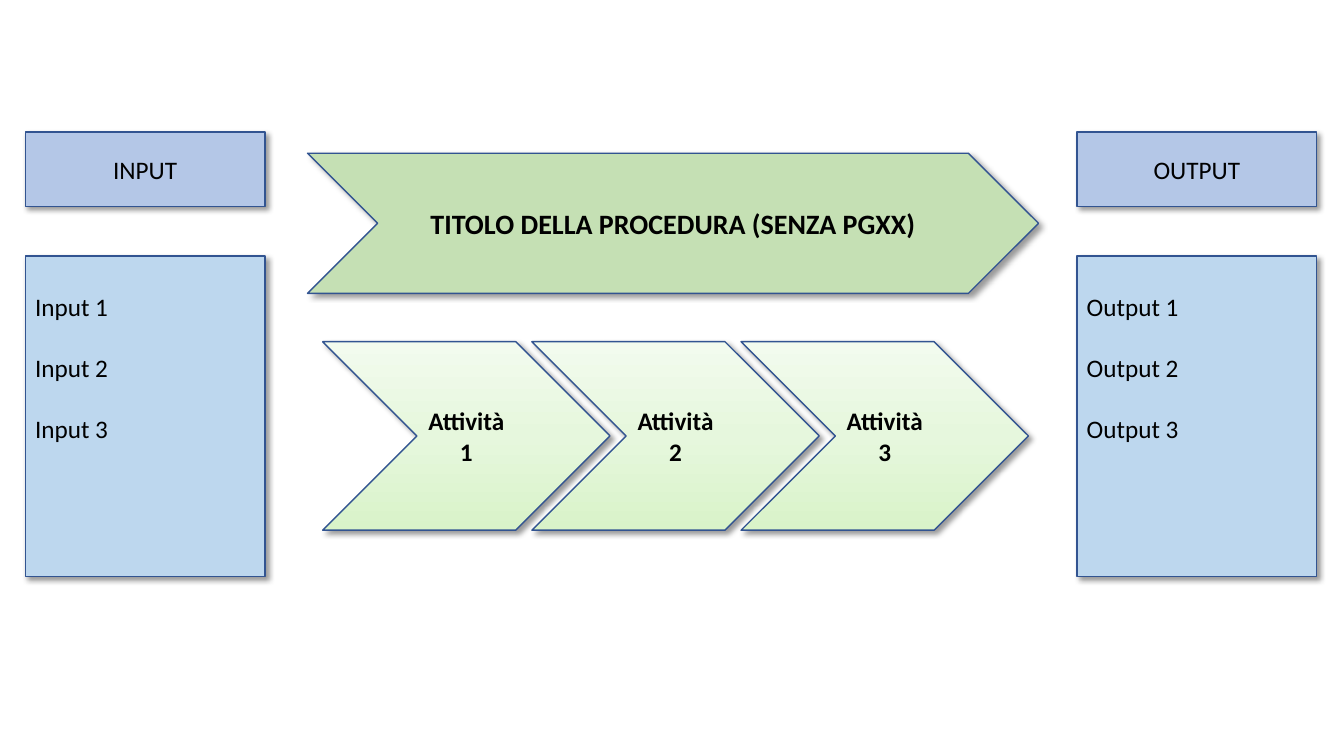
from copy import deepcopy
from dataclasses import dataclass

from lxml import etree
from pptx import Presentation
from pptx import util as u
from pptx.dml.color import RGBColor
from pptx.enum import shapes, text
from pptx.oxml.ns import qn

TITLE = "TITOLO DELLA PROCEDURA (SENZA PGXX)"
ACTIVITIES = ["Attività 1", "Attività 2", "Attività 3"]
SIDES = [
    ("INPUT", ["Input 1", "Input 2", "Input 3"]),
    ("OUTPUT", ["Output 1", "Output 2", "Output 3"]),
]


@dataclass(frozen=True)
class Theme:
    font: str = "Calibri"
    ink: str = "000000"
    line: str = "325491"
    header: str = "B4C7E7"
    panel: str = "BDD7EE"
    banner: str = "C5E0B4"
    activity: tuple = ("D9F3C9", "E6F7DD", "F2FBEE")
    title_size: int = 20
    body_size: int = 18
    line_width: int = 1
    item_gap: int = 22


THEME = Theme()
SLIDE_SIZE = (13.33, 7.5)

# Grid in inches: columns as (left, width), rows as (top, height)
SIDE_COLUMNS = [(0.25, 2.38), (10.68, 2.38)]
BANNER_COLUMN = (3.05, 7.25)
ACTIVITY_LEFT, ACTIVITY_WIDTH, ACTIVITY_STEP = 3.2, 2.85, 2.075
HEADER_ROW = (1.31, 0.74)
PANEL_ROW = (2.54, 3.18)
BANNER_ROW = (1.52, 1.39)
ACTIVITY_ROW = (3.39, 1.87)
PANEL_TOP_INSET = 0.35

CHEVRON = shapes.MSO_SHAPE.CHEVRON
RECTANGLE = shapes.MSO_SHAPE.RECTANGLE


def paint(fill, colors):
    """Fill with one colour, or with an even gradient running upwards."""
    if isinstance(colors, str):
        fill.solid()
        fill.fore_color.rgb = RGBColor.from_string(colors)
        return
    fill.gradient()
    fill.gradient_angle = 90
    first = fill.gradient_stops[0]._gs
    first.addnext(deepcopy(first))
    for index, (stop, color) in enumerate(zip(fill.gradient_stops, colors)):
        stop.position = index / (len(colors) - 1)
        stop.color.rgb = RGBColor.from_string(color)


def add_shadow(shape):
    shape.shadow.inherit = False
    effects = shape._element.spPr.find(qn("a:effectLst"))
    shadow = etree.SubElement(
        effects, qn("a:outerShdw"), blurRad=str(u.Pt(4)), dist=str(u.Pt(3)),
        dir=str(45 * 60000), algn="tl", rotWithShape="0")
    color = etree.SubElement(shadow, qn("a:srgbClr"), val=THEME.ink)
    etree.SubElement(color, qn("a:alpha"), val="40000")


def add_box(page, kind, column, row, colors, lines,
            size=THEME.body_size, bold=False, listing=False):
    (left, width), (top, height) = column, row
    box = page.shapes.add_shape(
        kind, *(u.Inches(value) for value in (left, top, width, height)))
    paint(box.fill, colors)
    box.line.color.rgb = RGBColor.from_string(THEME.line)
    box.line.width = u.Pt(THEME.line_width)
    add_shadow(box)

    frame = box.text_frame
    frame.word_wrap = True
    frame.vertical_anchor = text.MSO_ANCHOR.MIDDLE
    if listing:
        frame.vertical_anchor = text.MSO_ANCHOR.TOP
        frame.margin_top = u.Inches(PANEL_TOP_INSET)
    font_format = {"name": THEME.font, "size": u.Pt(size), "bold": bold}
    for index, line in enumerate(lines):
        para = frame.add_paragraph() if index else frame.paragraphs[0]
        para.alignment = text.PP_ALIGN.LEFT if listing else text.PP_ALIGN.CENTER
        if index:
            para.space_before = u.Pt(THEME.item_gap)
        span = para.add_run()
        span.text = line
        for name, value in font_format.items():
            setattr(span.font, name, value)
        span.font.color.rgb = RGBColor.from_string(THEME.ink)


def main():
    deck = Presentation()
    deck.slide_width, deck.slide_height = map(u.Inches, SLIDE_SIZE)
    page = deck.slides.add_slide(deck.slide_layouts.get_by_name("Blank"))

    for column, (heading, items) in zip(SIDE_COLUMNS, SIDES):
        add_box(page, RECTANGLE, column, HEADER_ROW, THEME.header, [heading])
        add_box(page, RECTANGLE, column, PANEL_ROW, THEME.panel, items, listing=True)

    add_box(page, CHEVRON, BANNER_COLUMN, BANNER_ROW, THEME.banner, [TITLE],
            size=THEME.title_size, bold=True)
    for index, activity in enumerate(ACTIVITIES):
        column = (ACTIVITY_LEFT + index * ACTIVITY_STEP, ACTIVITY_WIDTH)
        add_box(page, CHEVRON, column, ACTIVITY_ROW, THEME.activity, [activity], bold=True)

    deck.save("out.pptx")


if __name__ == "__main__":
    main()
